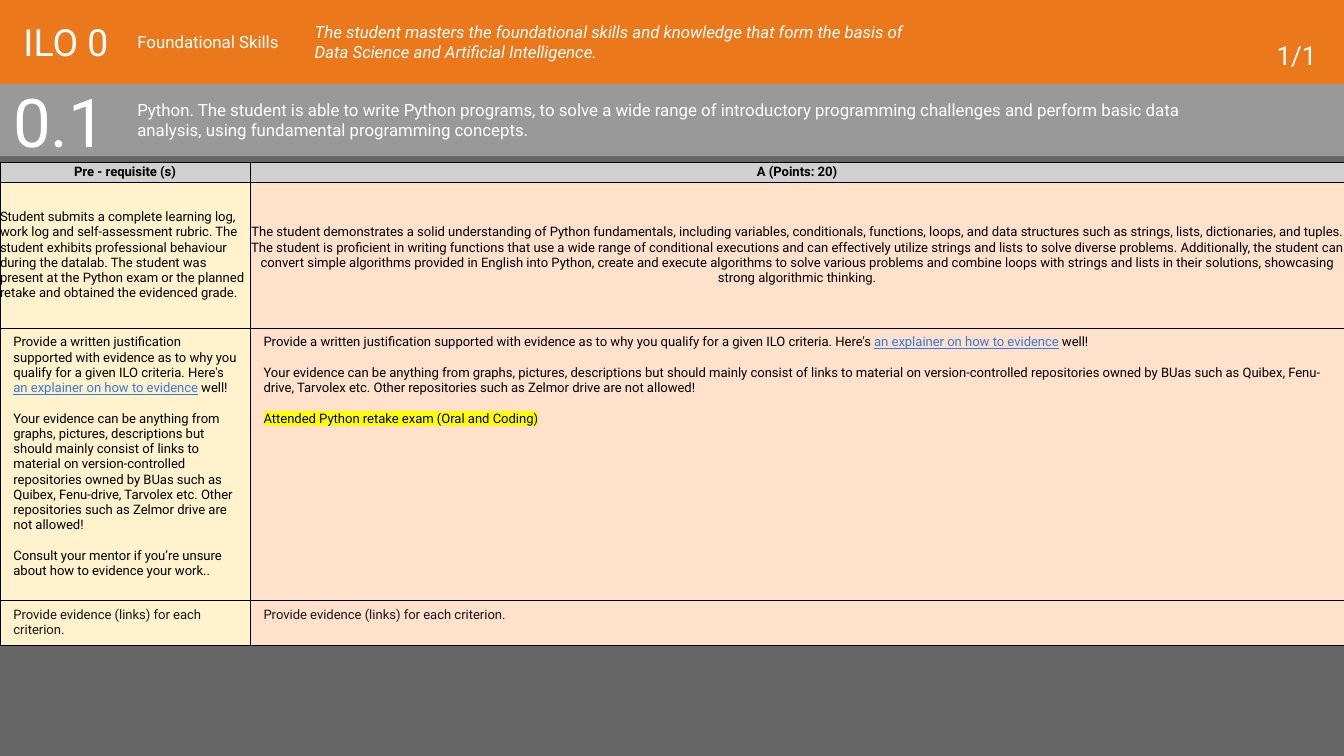
from lxml import etree
from pptx import Presentation
from pptx.dml.color import RGBColor
from pptx.enum import shapes, text
from pptx.oxml import ns
from pptx.util import Pt

COLORS = {
    "background": "666666", "ilo_bar": "EC781C", "criterion_bar": "999999",
    "white": "FFFFFF", "black": "000000", "header": "D0D0D0",
    "prerequisite": "FFF2CD", "grade": "FFE1CC", "link": "3C78D8",
    "evidence": "161616", "highlight": "FFFF00",
}
FONT = "Roboto"
LEFT, CENTER, RIGHT = text.PP_ALIGN.LEFT, text.PP_ALIGN.CENTER, text.PP_ALIGN.RIGHT
MIDDLE, BOTTOM, TOP = text.MSO_ANCHOR.MIDDLE, text.MSO_ANCHOR.BOTTOM, text.MSO_ANCHOR.TOP
PARAGRAPH_GAP = 8.2

JUSTIFICATION = [
    ("Provide a written justification supported with evidence as to why you "
     "qualify for a given ILO criteria. Here's ", {}),
    ("an explainer on how to evidence", {"color": "link", "underline": True}),
    (" well!", {}),
]
EVIDENCE_KINDS = [
    ("Your evidence can be anything from graphs, pictures, descriptions but "
     "should mainly consist of links to material on version-controlled "
     "repositories owned by BUas such as Quibex, Fenu-drive, Tarvolex etc. "
     "Other repositories such as Zelmor drive are not allowed!", {}),
]
CONSULT = [("Consult your mentor if you’re unsure about how to evidence your work..", {})]
RETAKE = [("Attended Python retake exam (Oral and Coding)", {"highlight": "highlight"})]
LINKS = [("Provide evidence (links) for each criterion.", {"color": "evidence"})]
PREREQUISITE = [
    ("Student submits a complete learning log, work log and self-assessment "
     "rubric. The student exhibits professional behaviour during the datalab. "
     "The student was present at the Python exam or the planned retake and "
     "obtained the evidenced grade.", {}),
]
GRADE_A = [
    ("The student demonstrates a solid understanding of Python fundamentals, "
     "including variables, conditionals, functions, loops, and data structures "
     "such as strings, lists, dictionaries, and tuples. The student is proficient "
     "in writing functions that use a wide range of conditional executions and "
     "can effectively utilize strings and lists to solve diverse problems. "
     "Additionally, the student can convert simple algorithms provided in English "
     "into Python, create and execute algorithms to solve various problems and "
     "combine loops with strings and lists in their solutions, showcasing strong "
     "algorithmic thinking.", {}),
]


def rgb(name):
    return RGBColor.from_string(COLORS[name])


def add_run(paragraph, words, size, color="black", highlight=None, **formats):
    run = paragraph.add_run()
    run.text = words
    for name, value in {"name": FONT, "size": Pt(size), **formats}.items():
        setattr(run.font, name, value)
    run.font.color.rgb = rgb(color)
    if highlight:
        mark = etree.Element(ns.qn("a:highlight"))
        etree.SubElement(mark, ns.qn("a:srgbClr"), val=COLORS[highlight])
        run.font._element.find(ns.qn("a:solidFill")).addnext(mark)


def add_bar(slide, box, color):
    bar = slide.shapes.add_shape(shapes.MSO_SHAPE.RECTANGLE, *map(Pt, box))
    bar.shadow.inherit = False
    bar.fill.solid()
    bar.fill.fore_color.rgb = rgb(color)
    bar.line.fill.background()


def add_label(slide, box, words, size, align=LEFT, anchor=MIDDLE, **formats):
    frame = slide.shapes.add_textbox(*map(Pt, box)).text_frame
    frame.word_wrap = True
    frame.vertical_anchor = anchor
    for side in ("left", "top", "right", "bottom"):
        setattr(frame, f"margin_{side}", Pt(7.2))
    frame.paragraphs[0].alignment = align
    add_run(frame.paragraphs[0], words, size, "white", **formats)


def add_ilo_banner(slide, box):
    left, top, width, height = box
    add_bar(slide, box, "ilo_bar")
    add_label(slide, (left + 5.5, top, 61, height), "ILO 0", 20)
    add_label(slide, (left + 66.5, top, 108, height), "Foundational Skills", 9)
    add_label(slide, (left + 161.5, top, 331, height),
              "The student masters the foundational skills and knowledge that form "
              "the basis of Data Science and Artificial Intelligence.", 9, italic=True)
    add_label(slide, (left + width - 163.5, top, 156, height), "1/1", 14, RIGHT, BOTTOM)


def add_criterion_banner(slide, box):
    left, top, width, height = box
    add_bar(slide, box, "criterion_bar")
    add_label(slide, (left, top, 71, height), "0.1", 36)
    add_label(slide, (left + 66.5, top, 576, height),
              "Python. The student is able to write Python programs, to solve a wide "
              "range of introductory programming challenges and perform basic data "
              "analysis, using fundamental programming concepts.", 9)


def add_borders(cell):
    properties = cell._tc.get_or_add_tcPr()
    for place, side in enumerate(("lnL", "lnR", "lnT", "lnB")):
        line = etree.Element(ns.qn(f"a:{side}"), w=str(Pt(0.5)))
        fill = etree.SubElement(line, ns.qn("a:solidFill"))
        etree.SubElement(fill, ns.qn("a:srgbClr"), val=COLORS["black"])
        properties.insert(place, line)


def fill_cell(cell, paragraphs, color, align=LEFT, anchor=TOP, margins=(7.2, 3.6)):
    cell.fill.solid()
    cell.fill.fore_color.rgb = rgb(color)
    add_borders(cell)
    cell.vertical_anchor = anchor
    cell.margin_left = cell.margin_right = Pt(margins[0])
    cell.margin_top = cell.margin_bottom = Pt(margins[1])
    for index, runs in enumerate(paragraphs):
        if index:
            paragraph = cell.text_frame.add_paragraph()
            paragraph.space_before = Pt(PARAGRAPH_GAP)
        else:
            paragraph = cell.text_frame.paragraphs[0]
        paragraph.alignment = align
        for words, formats in runs:
            add_run(paragraph, words, 7, **formats)


def add_rubric(slide, box):
    column_widths, row_heights = (134, 586), (10.8, 78, 146, 23.5)
    table = slide.shapes.add_table(4, 2, *map(Pt, box)).table
    table.first_row = table.horz_banding = False
    for column, width in zip(table.columns, column_widths):
        column.width = Pt(width)
    for row, height in zip(table.rows, row_heights):
        row.height = Pt(height)

    tight = {"anchor": MIDDLE, "margins": (0, 0)}
    for column, title in enumerate(("Pre - requisite (s)", "A (Points: 20)")):
        fill_cell(table.cell(0, column), [[(title, {"bold": True})]], "header", CENTER, **tight)
    fill_cell(table.cell(1, 0), [PREREQUISITE], "prerequisite", **tight)
    fill_cell(table.cell(1, 1), [GRADE_A], "grade", CENTER, **tight)
    for column, (color, closing) in enumerate((("prerequisite", CONSULT), ("grade", RETAKE))):
        fill_cell(table.cell(2, column), [JUSTIFICATION, EVIDENCE_KINDS, closing], color)
        fill_cell(table.cell(3, column), [LINKS], color)


def main():
    deck = Presentation()
    deck.slide_width, deck.slide_height = Pt(720), Pt(405)
    slide = deck.slides.add_slide(deck.slide_layouts[6])
    slide.background.fill.solid()
    slide.background.fill.fore_color.rgb = rgb("background")
    add_criterion_banner(slide, (0, 45, 720, 38.7))
    add_ilo_banner(slide, (0, 0, 720, 45))
    add_rubric(slide, (0, 87, 720, 258.3))
    deck.save("out.pptx")


if __name__ == "__main__":
    main()
